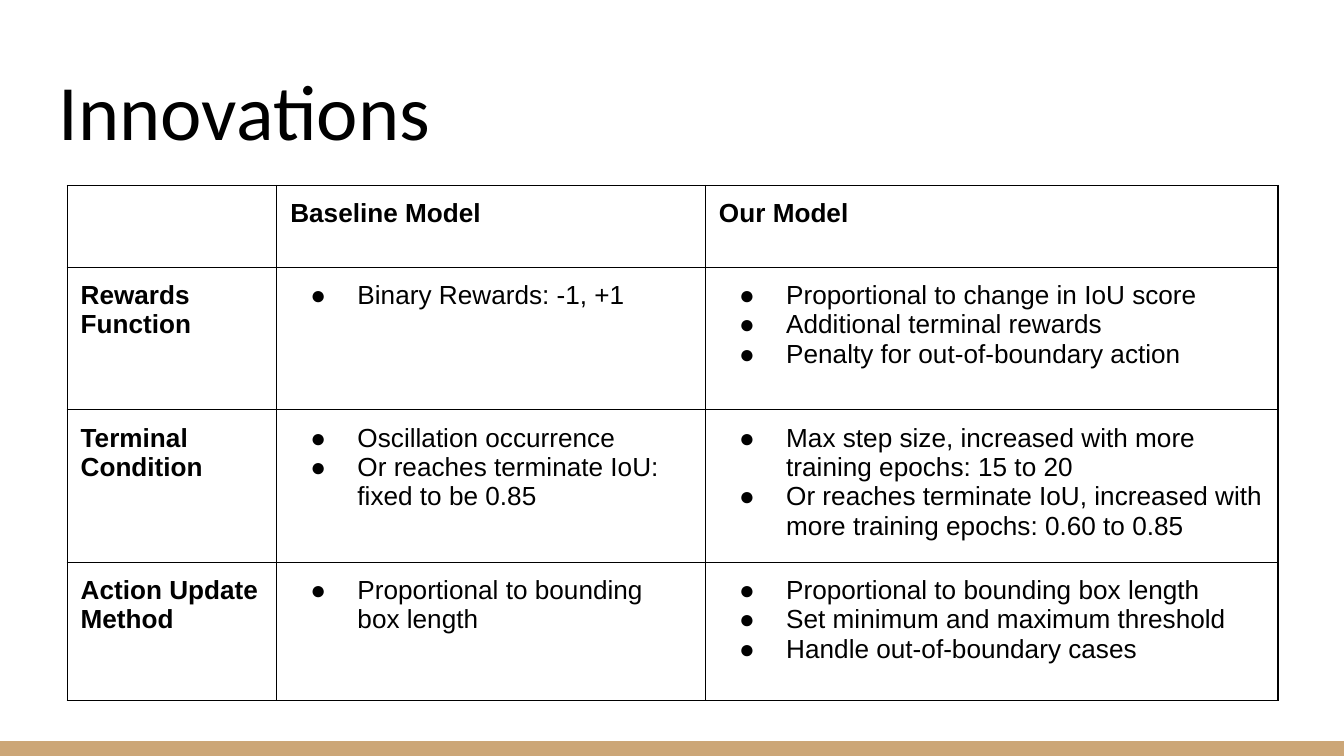
from lxml import etree
from pptx import Presentation
from pptx import util as u
from pptx.dml.color import RGBColor
from pptx.enum import shapes, text
from pptx.oxml import ns

BLACK = RGBColor(0x00, 0x00, 0x00)
TAN = RGBColor(0xCC, 0xA6, 0x77)
MARGIN = u.Inches(0.1)

COLUMN_WIDTHS = [1.56, 3.19, 4.26]
ROW_HEIGHTS = [0.61, 1.06, 1.02, 1.03]
ROWS = [
    [[], ["Baseline Model"], ["Our Model"]],
    [["Rewards Function"],
     ["Binary Rewards: -1, +1"],
     ["Proportional to change in IoU score",
      "Additional terminal rewards",
      "Penalty for out-of-boundary action"]],
    [["Terminal Condition"],
     ["Oscillation occurrence",
      "Or reaches terminate IoU: fixed to be 0.85"],
     ["Max step size, increased with more training epochs: 15 to 20",
      "Or reaches terminate IoU, increased with more training epochs: 0.60 to 0.85"]],
    [["Action Update Method"],
     ["Proportional to bounding box length"],
     ["Proportional to bounding box length",
      "Set minimum and maximum threshold",
      "Handle out-of-boundary cases"]],
]


def add_bullet(paragraph):
    properties = paragraph._p.get_or_add_pPr()
    properties.set("marL", str(u.Inches(0.5)))
    properties.set("indent", str(u.Inches(-0.35)))
    color = etree.SubElement(properties, ns.qn("a:buClr"))
    etree.SubElement(color, ns.qn("a:srgbClr"), val=str(BLACK))
    etree.SubElement(properties, ns.qn("a:buFont"), typeface="Arial")
    etree.SubElement(properties, ns.qn("a:buChar"), char="●")


def add_borders(cell):
    properties = cell._tc.get_or_add_tcPr()
    for position, side in enumerate(["a:lnL", "a:lnR", "a:lnT", "a:lnB"]):
        line = etree.Element(ns.qn(side), w=str(u.Pt(0.75)))
        fill = etree.SubElement(line, ns.qn("a:solidFill"))
        etree.SubElement(fill, ns.qn("a:srgbClr"), val=str(BLACK))
        properties.insert(position, line)


# Widescreen slide, 16:9
presentation = Presentation()
presentation.slide_width = u.Inches(10)
presentation.slide_height = u.Inches(10 * 9 / 16)
slide = presentation.slides.add_slide(presentation.slide_layouts[6])

# Bottom band
band_height = u.Inches(0.11)
band = slide.shapes.add_shape(
    shapes.MSO_SHAPE.RECTANGLE,
    u.Inches(0), presentation.slide_height - band_height,
    presentation.slide_width, band_height)
band.shadow.inherit = False
band.fill.solid()
band.fill.fore_color.rgb = TAN
band.line.fill.background()

# Title
title = slide.shapes.add_textbox(
    u.Inches(0.34), u.Inches(0.35), u.Inches(9.32), u.Inches(0.91))
frame = title.text_frame
frame.word_wrap = True
frame.vertical_anchor = text.MSO_ANCHOR.BOTTOM
frame.margin_left = frame.margin_right = MARGIN
frame.margin_top = frame.margin_bottom = MARGIN
paragraph = frame.paragraphs[0]
paragraph.text = "Innovations"
paragraph.font.name = "Calibri"
paragraph.font.size = u.Pt(42)
paragraph.font.color.rgb = BLACK

# Comparison table
table = slide.shapes.add_table(
    len(ROW_HEIGHTS), len(COLUMN_WIDTHS), u.Inches(0.5), u.Inches(1.38),
    u.Inches(sum(COLUMN_WIDTHS)), u.Inches(sum(ROW_HEIGHTS))).table
table.first_row = False
table.horz_banding = False
for column, width in zip(table.columns, COLUMN_WIDTHS):
    column.width = u.Inches(width)
for row, height in zip(table.rows, ROW_HEIGHTS):
    row.height = u.Inches(height)

# Cells: bold headings in the first row and column, bullets elsewhere
for row_index, row in enumerate(ROWS):
    for column_index, lines in enumerate(row):
        cell = table.cell(row_index, column_index)
        cell.fill.background()
        add_borders(cell)
        cell.margin_left = cell.margin_right = MARGIN
        cell.margin_top = cell.margin_bottom = MARGIN
        is_heading = row_index == 0 or column_index == 0
        cell.text = "\n".join(lines)
        for paragraph in cell.text_frame.paragraphs:
            if not is_heading:
                add_bullet(paragraph)
            paragraph.font.name = "Arial"
            paragraph.font.size = u.Pt(14)
            paragraph.font.bold = is_heading
            paragraph.font.color.rgb = BLACK
            # The paragraph mark must not stretch the last line
            etree.SubElement(paragraph._p, ns.qn("a:endParaRPr"), sz="1400")

presentation.save("out.pptx")
